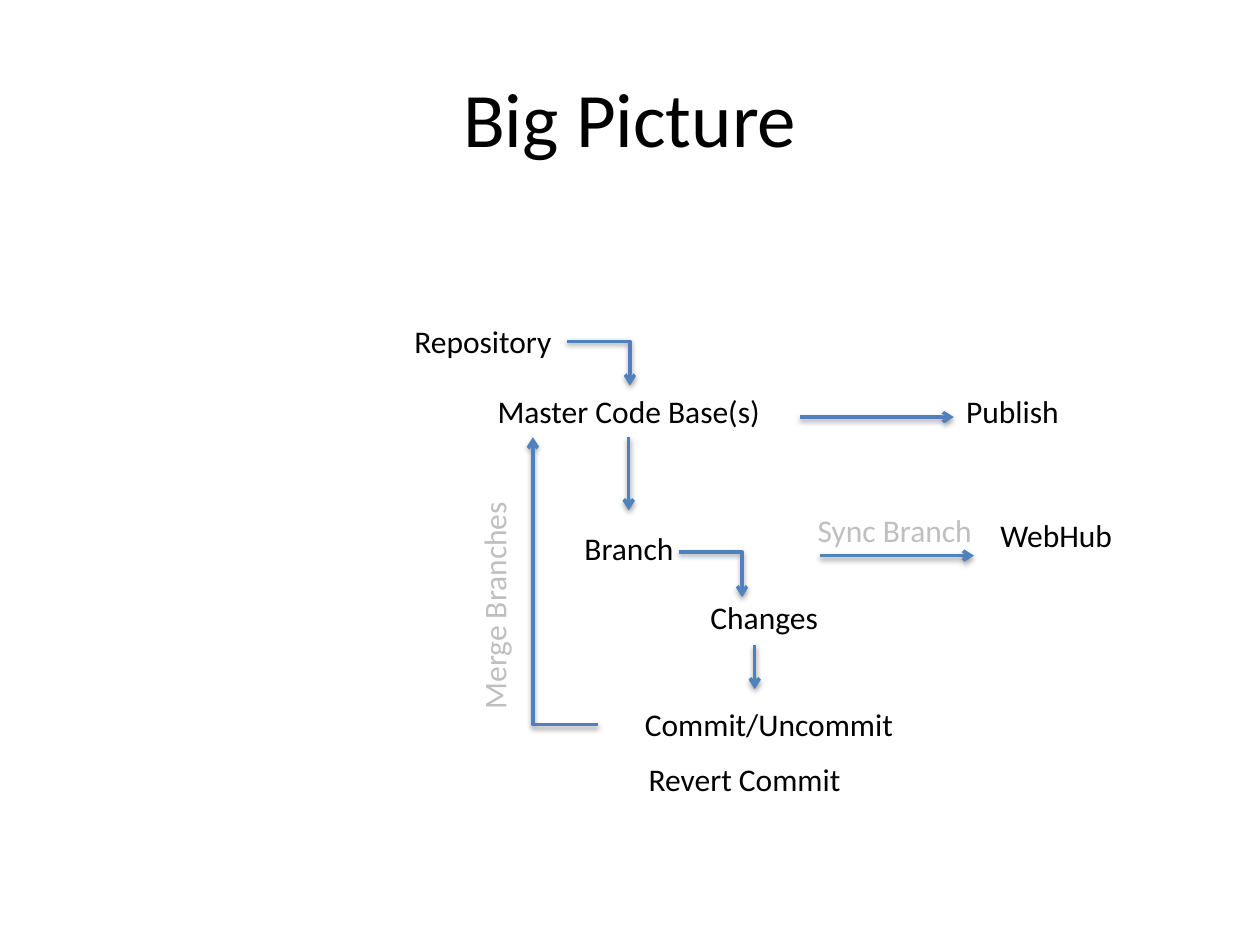
import pptx
import pptx.dml.color
import pptx.enum.shapes
import pptx.enum.text
import pptx.oxml
import pptx.oxml.ns
import pptx.util

COLORS = {"ink": "000000", "muted": "BFBFBF", "arrow": "4F81BD"}
FONT = "Calibri"
LABEL_HEIGHT = 0.4

TITLE = ("Big Picture", 0.5, 0.3, 9, 1.25)

# wording, left, top, width, colour
LABELS = [
    ("Repository", 3.19, 2.51, 1.31, "ink"),
    ("Master Code Base(s)", 3.85, 3.06, 2.31, "ink"),
    ("Branch", 4.54, 4.15, 0.92, "ink"),
    ("Changes", 5.54, 4.7, 1.07, "ink"),
    ("Commit/Uncommit", 5.02, 5.55, 2.17, "ink"),
    ("Revert Commit", 5.05, 5.98, 1.75, "ink"),
    ("Publish", 7.57, 3.06, 0.94, "ink"),
    ("WebHub", 7.84, 4.05, 1.12, "ink"),
    ("Sync Branch", 6.39, 4.01, 1.45, "muted"),
]
MERGE_LABEL = ("Merge Branches", 3.72, 3.96, 0.5, 1.77)

# start, end; an arrow that changes both ways bends once
ARROWS = [
    ((4.5, 2.71), (5, 3.06)),
    ((4.99, 3.47), (4.99, 4.05)),
    ((5.39, 4.38), (5.89, 4.74)),
    ((5.99, 5.12), (5.99, 5.47)),
    ((4.75, 5.75), (4.23, 3.47)),
    ((6.35, 3.31), (7.57, 3.31)),
    ((6.51, 4.41), (7.73, 4.41)),
]

SHADOW = (
    f'<a:effectLst {pptx.oxml.ns.nsdecls("a")}>'
    '<a:outerShdw blurRad="40000" dist="20000" dir="5400000" rotWithShape="0">'
    '<a:srgbClr val="000000"><a:alpha val="38000"/></a:srgbClr>'
    "</a:outerShdw></a:effectLst>"
)
ARROWHEAD = f'<a:tailEnd {pptx.oxml.ns.nsdecls("a")} type="arrow"/>'


def rgb(name):
    """Return the named colour."""
    return pptx.dml.color.RGBColor.from_string(COLORS[name])


def add_text(slide, wording, left, top, width, height, color="ink", size=18):
    """Add a one-line text box and return its shape."""
    box = slide.shapes.add_textbox(*map(pptx.util.Inches, (left, top, width, height)))
    box.text_frame.word_wrap = False
    run = box.text_frame.paragraphs[0].add_run()
    run.text = wording
    run.font.name = FONT
    run.font.size = pptx.util.Pt(size)
    run.font.color.rgb = rgb(color)
    return box


def add_arrow(slide, start, end):
    """Add a straight arrow, or one with a single bend."""
    kinds = pptx.enum.shapes.MSO_CONNECTOR
    bent = start[0] != end[0] and start[1] != end[1]
    connector = slide.shapes.add_connector(
        kinds.ELBOW if bent else kinds.STRAIGHT,
        *map(pptx.util.Inches, start + end),
    )
    connector.line.color.rgb = rgb("arrow")
    connector.line.width = pptx.util.Pt(2)
    properties = connector._element.spPr
    if bent:
        properties.find(pptx.oxml.ns.qn("a:prstGeom")).set("prst", "bentConnector2")
    properties.find(pptx.oxml.ns.qn("a:ln")).append(pptx.oxml.parse_xml(ARROWHEAD))
    properties.append(pptx.oxml.parse_xml(SHADOW))


def build():
    """Build and save the slide."""
    presentation = pptx.Presentation()
    presentation.slide_width = pptx.util.Inches(10)
    presentation.slide_height = pptx.util.Inches(7.5)
    slide = presentation.slides.add_slide(presentation.slide_layouts[6])

    title = add_text(slide, *TITLE, size=44).text_frame
    title.word_wrap = True
    title.vertical_anchor = pptx.enum.text.MSO_ANCHOR.MIDDLE
    title.paragraphs[0].alignment = pptx.enum.text.PP_ALIGN.CENTER

    for wording, left, top, width, color in LABELS:
        add_text(slide, wording, left, top, width, LABEL_HEIGHT, color)
    merge = add_text(slide, *MERGE_LABEL, color="muted")
    merge.text_frame._txBody.bodyPr.set("vert", "vert270")

    for start, end in ARROWS:
        add_arrow(slide, start, end)
    presentation.save("out.pptx")


build()
